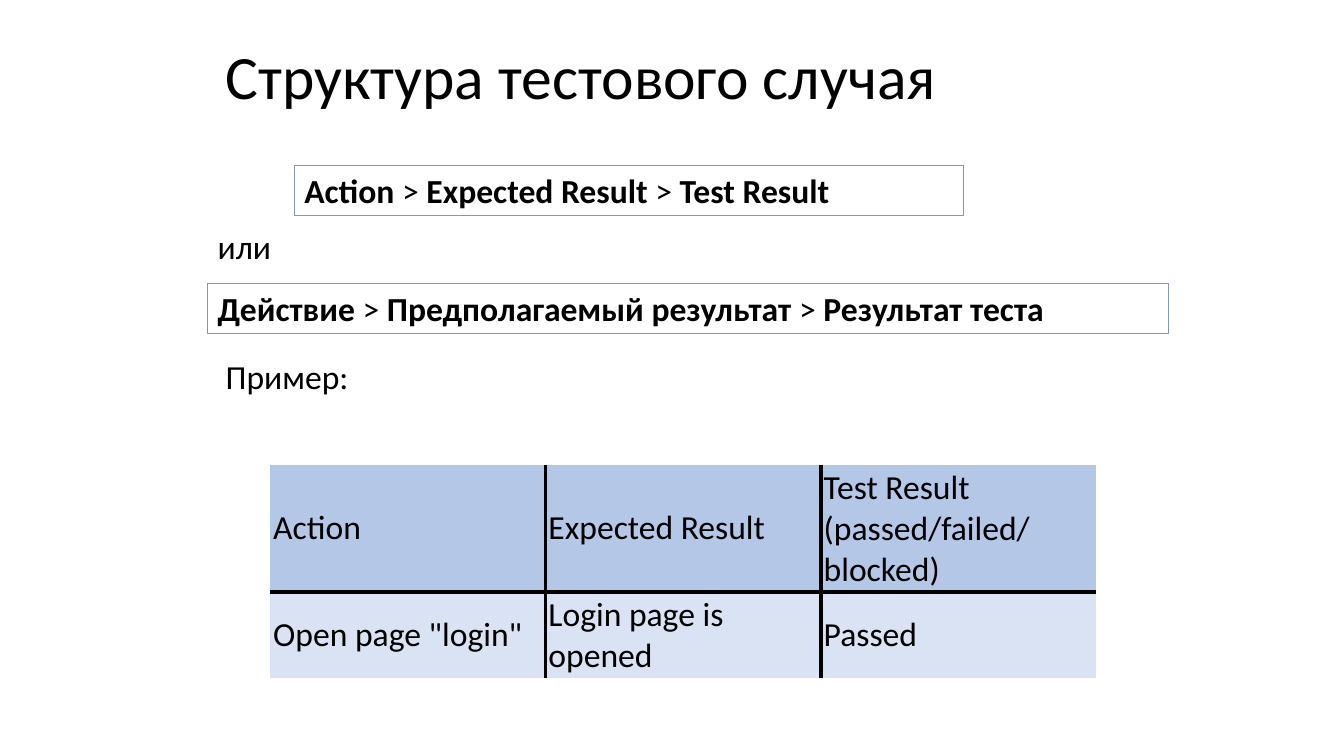
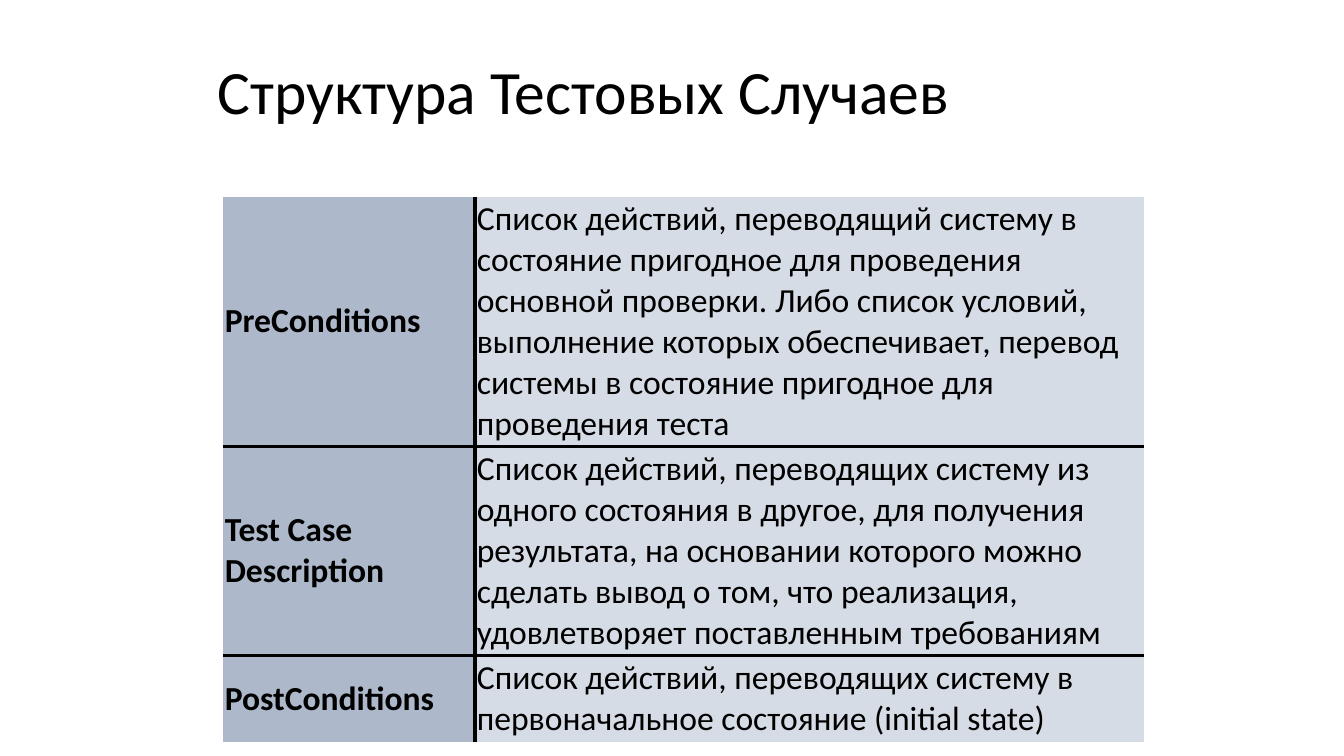
from lxml import etree
from pptx import Presentation
from pptx.dml.color import RGBColor
from pptx.enum import shapes, text
from pptx.oxml import ns
from pptx.util import Inches, Pt

FONT = "Calibri"
HEX = {
    "ink": "000000",
    "frame": "8497B0",
    "head": "B4C7E7",
    "row": "DAE3F3",
    "label": "ADB9CA",
    "note": "D6DCE5",
}


def color(name):
    return RGBColor.from_string(HEX[name])


def style(para, size=24, bold=False):
    para.alignment = text.PP_ALIGN.LEFT
    font = para.font
    font.name, font.size, font.bold = FONT, Pt(size), bold
    font.color.rgb = color("ink")


def add_page(deck, title, box):
    """Add a slide with its title placed in box."""
    page = deck.slides.add_slide(deck.slide_layouts[5])
    head = page.shapes.title
    head.left, head.top, head.width, head.height = map(Inches, box)
    frame = head.text_frame
    frame.text = title
    frame.vertical_anchor = text.MSO_ANCHOR.MIDDLE
    para = frame.paragraphs[0]
    para.line_spacing = 0.9
    style(para, 44)
    return page


def add_label(page, box, words):
    label = page.shapes.add_textbox(*map(Inches, box))
    label.text_frame.word_wrap = True
    label.text_frame.text = words
    style(label.text_frame.paragraphs[0])


def add_chain(page, box, parts):
    """Add a framed line of bold parts joined by plain arrows."""
    rect = page.shapes.add_shape(shapes.MSO_SHAPE.RECTANGLE, *map(Inches, box))
    rect.shadow.inherit = False
    rect.fill.background()
    rect.line.color.rgb = color("frame")
    rect.line.width = Pt(0.75)
    frame = rect.text_frame
    frame.word_wrap = True
    frame.vertical_anchor = text.MSO_ANCHOR.TOP
    para = frame.paragraphs[0]
    style(para)
    for i, part in enumerate(parts):
        if i:
            para.add_run().text = " > "
        run = para.add_run()
        run.text = part
        run.font.bold = True


def set_edges(cell, inner):
    """Draw black lines on inner sides and clear the outer ones."""
    props = cell._tc.get_or_add_tcPr()
    for i, side in enumerate("LRTB"):
        line = etree.Element(ns.qn("a:ln" + side), w=str(Pt(3)))
        if side in inner:
            fill = etree.SubElement(line, ns.qn("a:solidFill"))
            etree.SubElement(fill, ns.qn("a:srgbClr"), val=HEX["ink"])
        else:
            etree.SubElement(line, ns.qn("a:noFill"))
        props.insert(i, line)


def add_grid(page, spot, cols, rows, data, pad, fill, bold):
    """Add a table; fill and bold are rules of row and column."""
    size = sum(cols), sum(rows)
    grid = page.shapes.add_table(len(rows), len(cols), *map(Inches, (*spot, *size))).table
    grid.first_row = grid.horz_banding = False
    for col, width in zip(grid.columns, cols):
        col.width = Inches(width)
    for row, height in zip(grid.rows, rows):
        row.height = Inches(height)
    for r, line in enumerate(data):
        for c, words in enumerate(line):
            cell = grid.cell(r, c)
            cell.text = words
            cell.vertical_anchor = text.MSO_ANCHOR.MIDDLE
            cell.margin_left = cell.margin_right = Inches(pad)
            cell.margin_top = cell.margin_bottom = Inches(pad)
            cell.fill.solid()
            cell.fill.fore_color.rgb = color(fill(r, c))
            for para in cell.text_frame.paragraphs:
                style(para, bold=bold(r, c))
            tests = {"L": c > 0, "R": c < len(cols) - 1, "T": r > 0, "B": r < len(rows) - 1}
            set_edges(cell, [side for side, test in tests.items() if test])


def case_slide(deck):
    page = add_page(deck, "Структура тестового случая", (2.14, 0.16, 9, 1.25))
    # Formula in two languages
    add_chain(page, (2.92, 1.64, 6.64, 0.5), ["Action", "Expected Result", "Test Result"])
    add_label(page, (2.06, 2.19, 1.09, 0.5), "или")
    add_chain(page, (2.06, 2.81, 9.53, 0.5),
              ["Действие", "Предполагаемый результат", "Результат теста"])
    # Example
    add_label(page, (2.14, 3.48, 1.8, 0.5), "Пример:")
    data = [
        ["Action", "Expected Result", "Test Result\n(passed/failed/blocked)"],
        ['Open page "login"', "Login page is opened", "Passed"],
    ]
    add_grid(page, (2.68, 4.61), [2.73] * 3, [1.26, 0.86], data, 0.03,
             lambda r, c: "row" if r else "head", lambda r, c: False)


def parts_slide(deck):
    page = add_page(deck, "Структура Тестовых Случаев", (2.06, 0.31, 9, 1.25))
    # Parts of a test case
    data = [
        ["PreConditions",
         "Список действий, переводящий систему в состояние пригодное для проведения "
         "основной проверки. Либо список условий, выполнение которых обеспечивает, "
         "перевод системы в состояние пригодное для проведения теста"],
        ["Test Case Description",
         "Список действий, переводящих систему из одного состояния в другое, для "
         "получения результата, на основании которого можно сделать вывод о том, "
         "что реализация, удовлетворяет поставленным требованиям"],
        ["PostConditions",
         "Список действий, переводящих систему в первоначальное состояние (initial state)"],
    ]
    add_grid(page, (2.21, 1.95), [2.5, 6.64], [2.48, 2.07, 0.86], data, 0.02,
             lambda r, c: "note" if c else "label", lambda r, c: c == 0)


def main():
    deck = Presentation()
    deck.slide_width, deck.slide_height = Inches(13.33), Inches(7.5)
    case_slide(deck)
    parts_slide(deck)
    deck.save("out.pptx")


if __name__ == "__main__":
    main()
